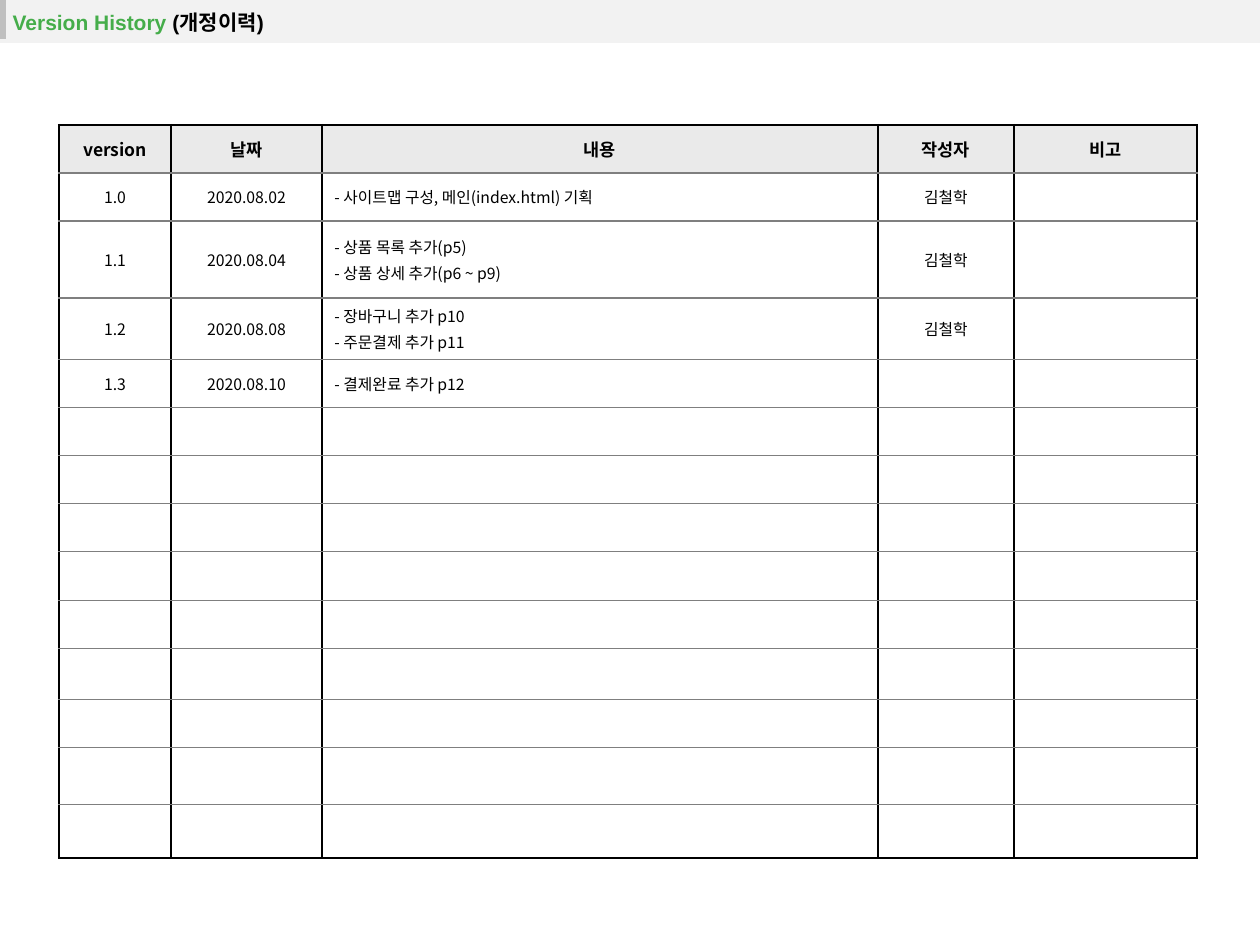
from lxml import etree
from pptx import Presentation
from pptx.dml.color import RGBColor
from pptx.enum.shapes import MSO_SHAPE
from pptx.enum.text import MSO_ANCHOR, PP_ALIGN
from pptx.oxml.ns import qn
from pptx.util import Emu, Pt

RECT = MSO_SHAPE.RECTANGLE
MIDDLE = MSO_ANCHOR.MIDDLE
LEFT, CENTER = PP_ALIGN.LEFT, PP_ALIGN.CENTER
PX = 914400 // 126
KOREAN = "Noto Sans CJK KR"

# Content
TITLE = [("Version History ", "45AD4A"), ("(개정이력)", "000000")]
HEAD = ["version", "날짜", "내용", "작성자", "비고"]
LOG = [
    ("1.0", "2020.08.02", "- 사이트맵 구성, 메인(index.html) 기획", "김철학"),
    ("1.1", "2020.08.04", "- 상품 목록 추가(p5)\n- 상품 상세 추가(p6 ~ p9)", "김철학"),
    ("1.2", "2020.08.08", "- 장바구니 추가 p10\n- 주문결제 추가 p11", "김철학"),
    ("1.3", "2020.08.10", "- 결제완료 추가 p12"),
]
COLS = [112, 151, 556, 136, 183]
ROWS = [48, 48, 77, 61, 48, 48, 48, 48, 49, 48, 51, 48, 57, 54]
NOTE = HEAD.index("내용")
OUTER, INNER, RULE = ("000000", 1.5), ("000000", 1), ("7F7F7F", 0.75)


def px(n):
    return Emu(n * PX)


def color(code):
    return RGBColor.from_string(code)


def paint(shape, code):
    shape.fill.solid()
    shape.fill.fore_color.rgb = color(code)


def add_run(para, text, size, font, code, bold):
    run = para.add_run()
    run.text = text
    run.font.size, run.font.name, run.font.bold = Pt(size), font, bold
    run.font.color.rgb = color(code)
    etree.SubElement(run.font._element, qn("a:ea"), typeface=KOREAN)


def set_edges(cell, edges):
    """Draw left, right, top and bottom edges; None means no line."""
    props = cell._tc.get_or_add_tcPr()
    for i, (side, edge) in enumerate(zip("LRTB", edges)):
        line = etree.Element(qn("a:ln" + side))
        if edge:
            line.set("w", str(Pt(edge[1])))
            fill = etree.SubElement(line, qn("a:solidFill"))
            etree.SubElement(fill, qn("a:srgbClr"), val=edge[0])
        else:
            etree.SubElement(line, qn("a:noFill"))
        props.insert(i, line)


def add_grid(slide, left, top, cols, rows):
    frame = slide.shapes.add_table(len(rows), len(cols), px(left), px(top),
                                   px(sum(cols)), px(sum(rows)))
    grid = frame.table
    grid.first_row = grid.horz_banding = False
    for col, width in zip(grid.columns, cols):
        col.width = px(width)
    for row, height in zip(grid.rows, rows):
        row.height = px(height)
    return grid


def fill_cell(cell, text, size, bold, align):
    frame = cell.text_frame
    for i, line in enumerate(text.split("\n")):
        para = frame.add_paragraph() if i else frame.paragraphs[0]
        para.alignment = align
        if i:
            para.space_before = Pt(1.8)
        if line:
            add_run(para, line, size, KOREAN, "000000", bold)
        else:
            # Keep empty rows from growing to the default text size
            etree.SubElement(para._p, qn("a:endParaRPr"), sz=str(size * 100))


def main():
    prs = Presentation()
    prs.slide_width, prs.slide_height = px(1260), px(945)
    slide = prs.slides.add_slide(prs.slide_layouts[6])

    # Version table
    grid = add_grid(slide, 59, 125, COLS, ROWS)
    last_row, last_col = len(ROWS) - 1, len(COLS) - 1
    lines = [HEAD, *LOG]
    for r in range(len(ROWS)):
        line = lines[r] if r < len(lines) else ()
        for c in range(len(COLS)):
            cell = grid.cell(r, c)
            cell.vertical_anchor = MIDDLE
            paint(cell, "FFFFFF" if r else "EAEAEA")
            set_edges(cell, [INNER if c else OUTER,
                             INNER if c < last_col else OUTER,
                             RULE if r else OUTER,
                             RULE if r < last_row else OUTER])
            fill_cell(cell, line[c] if c < len(line) else "",
                      9 if r else 10, r == 0,
                      LEFT if r and c == NOTE else CENTER)

    # Title bar
    bar = add_grid(slide, 0, 0, [1260], [39]).cell(0, 0)
    bar.vertical_anchor = MIDDLE
    paint(bar, "F2F2F2")
    set_edges(bar, [None] * 4)
    for text, code in TITLE:
        add_run(bar.text_frame.paragraphs[0], text, 12, "Arial", code, True)

    # Accent at the left of the title
    mark = slide.shapes.add_shape(RECT, 0, 0, px(6), px(39))
    mark.shadow.inherit = False
    paint(mark, "BFBFBF")
    mark.line.fill.background()

    prs.save("out.pptx")


if __name__ == "__main__":
    main()
